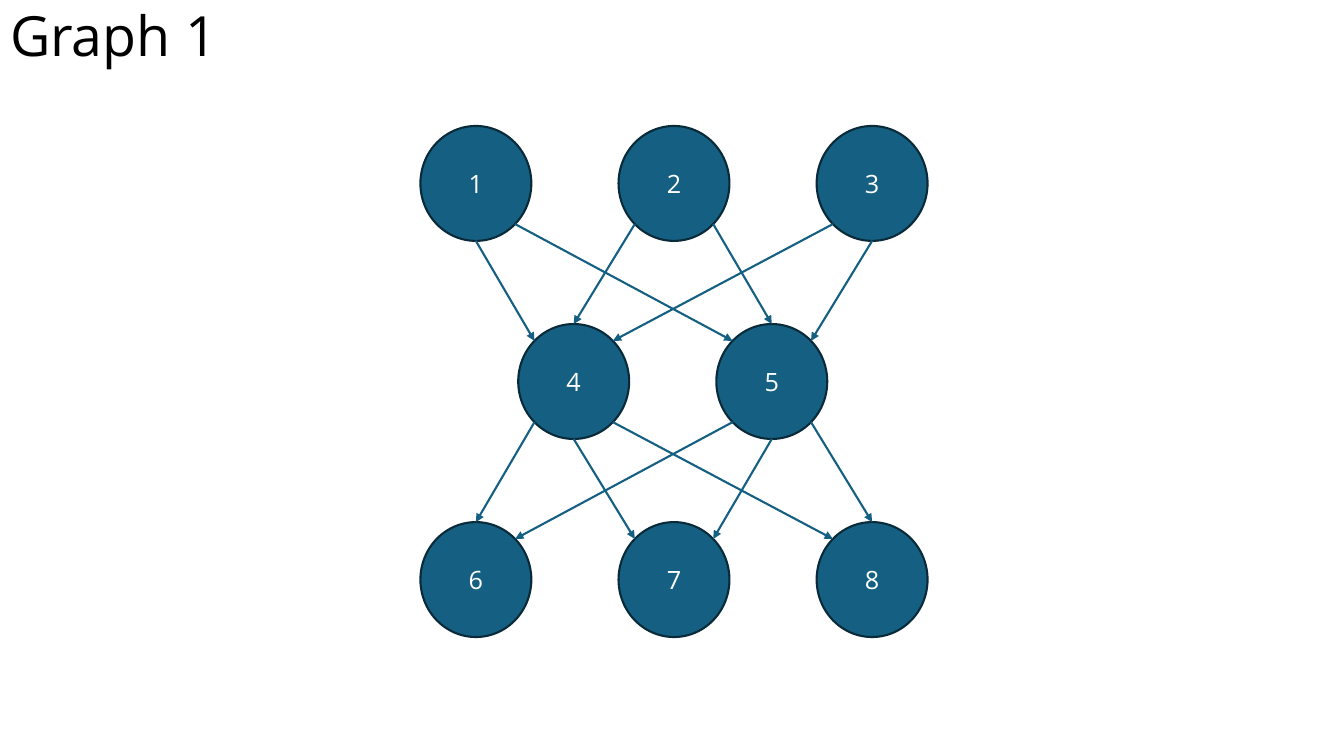
from math import sqrt

from lxml import etree
from pptx import Presentation
from pptx.dml.color import RGBColor
from pptx.enum.shapes import MSO_CONNECTOR, MSO_SHAPE
from pptx.enum.text import MSO_ANCHOR, MSO_AUTO_SIZE, PP_ALIGN
from pptx.oxml.ns import qn
from pptx.util import Inches, Pt

OVAL = MSO_SHAPE.OVAL
STRAIGHT = MSO_CONNECTOR.STRAIGHT
MIDDLE = MSO_ANCHOR.MIDDLE
NO_AUTOFIT = MSO_AUTO_SIZE.NONE
LEFT, CENTER = PP_ALIGN.LEFT, PP_ALIGN.CENTER

BLACK = RGBColor(0x00, 0x00, 0x00)
WHITE = RGBColor(0xFF, 0xFF, 0xFF)
TEAL = RGBColor(0x15, 0x60, 0x82)
DARK_TEAL = RGBColor(0x09, 0x2A, 0x39)

FONT = "Open Sans"
LINE_WIDTH = Pt(1.5)
NODE_W, NODE_H = 1.1, 1.14
PITCH = 3.93 / 2
TOP = 1.25
LAYERS = [(4.17, "123"), (5.14, "45"), (4.17, "678")]

# Each edge: source, target, side it leaves from, side it enters at.
EDGES = [
    ("1", "4", 0, -1), ("1", "5", 1, -1),
    ("2", "4", -1, 0), ("2", "5", 1, 0),
    ("3", "4", -1, 1), ("3", "5", 0, 1),
    ("4", "6", -1, 0), ("4", "7", 0, -1), ("4", "8", 1, -1),
    ("5", "8", 1, 0), ("5", "7", 0, 1), ("5", "6", -1, 1),
]


def write_text(tf, text, size, color, align):
    """Put one formatted run in a vertically centred text frame."""
    tf.vertical_anchor = MIDDLE
    p = tf.paragraphs[0]
    p.alignment = align
    r = p.add_run()
    r.text = text
    r.font.name = FONT
    r.font.size = Pt(size)
    r.font.color.rgb = color


def add_title(s, text):
    """Place and format the title placeholder."""
    sp = s.shapes.title
    sp.left, sp.top = Inches(0), Inches(0.02)
    sp.width, sp.height = Inches(11.5), Inches(0.72)
    tf = sp.text_frame
    tf.auto_size = NO_AUTOFIT
    write_text(tf, text, 39.6, BLACK, LEFT)
    tf.paragraphs[0].line_spacing = 0.9


def add_node(s, label, left, top):
    """Draw a labelled graph node."""
    sp = s.shapes.add_shape(OVAL, Inches(left), Inches(top), Inches(NODE_W), Inches(NODE_H))
    sp.shadow.inherit = False
    sp.fill.solid()
    sp.fill.fore_color.rgb = TEAL
    sp.line.color.rgb = DARK_TEAL
    sp.line.width = LINE_WIDTH
    write_text(sp.text_frame, label, 18, WHITE, CENTER)
    return sp


def rim_point(sp, side, down):
    """Return the point on a node's rim at side -1, 0 or 1, below or above its centre."""
    scale = 1 / sqrt(1 + side * side)
    x = sp.left + sp.width / 2 * (1 + side * scale)
    y = sp.top + sp.height / 2 * (1 + down * scale)
    return round(x), round(y)


def add_edge(s, source, target, leave, enter):
    """Draw an arrow from the lower rim of one node to the upper rim of another."""
    start = rim_point(source, leave, 1)
    end = rim_point(target, enter, -1)
    edge = s.shapes.add_connector(STRAIGHT, *start, *end)
    edge.line.color.rgb = TEAL
    edge.line.width = LINE_WIDTH
    etree.SubElement(edge.line._get_or_add_ln(), qn("a:tailEnd"), type="triangle")
    etree.SubElement(edge._element.spPr, qn("a:effectLst"))


def main():
    """Build the graph slide."""
    prs = Presentation()
    prs.slide_width, prs.slide_height = Inches(13.33), Inches(7.5)
    s = prs.slides.add_slide(prs.slide_layouts[5])
    add_title(s, "Graph 1")
    nodes = {}
    for row, (left, labels) in enumerate(LAYERS):
        for col, label in enumerate(labels):
            nodes[label] = add_node(s, label, left + col * PITCH, TOP + row * PITCH)
    for source, target, leave, enter in EDGES:
        add_edge(s, nodes[source], nodes[target], leave, enter)
    prs.save("out.pptx")


if __name__ == "__main__":
    main()
